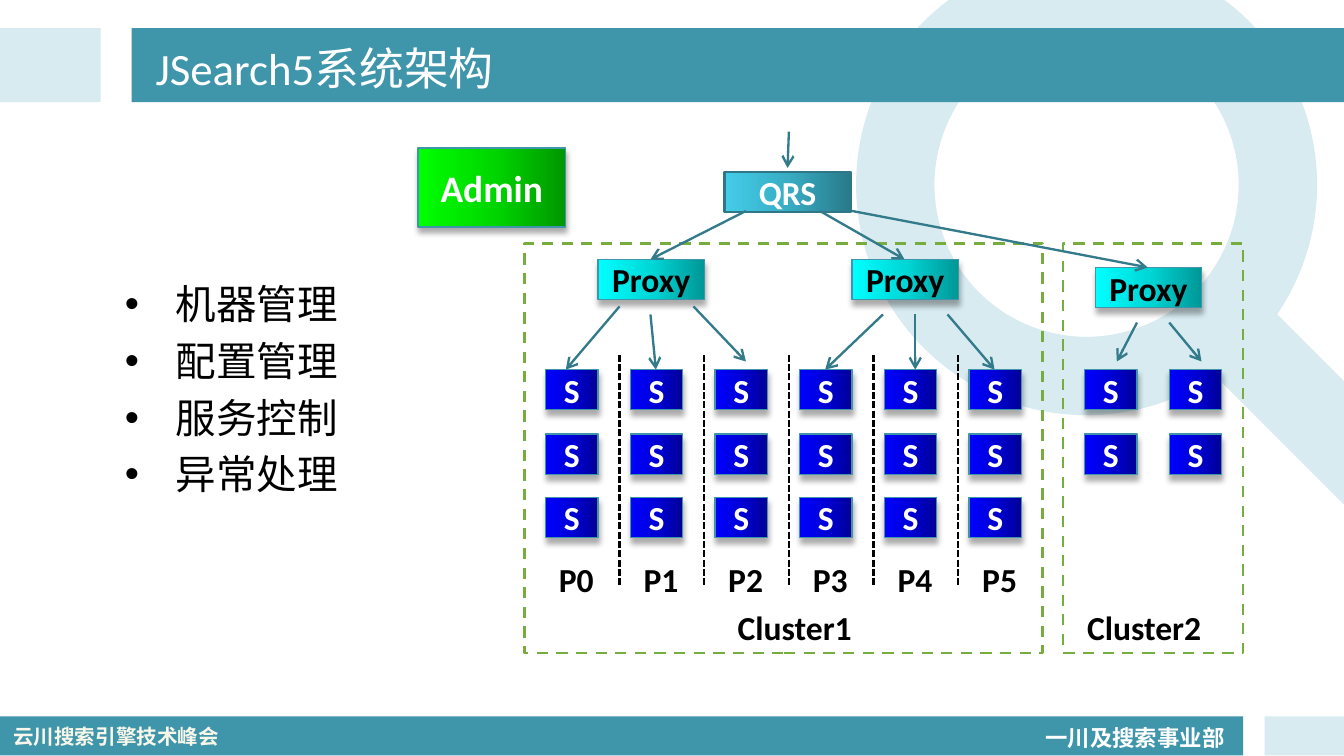
from lxml.etree import SubElement
from copy import deepcopy
from pptx import Presentation
from pptx.dml.color import RGBColor
from pptx.enum.dml import MSO_LINE_DASH_STYLE as DASH
from pptx.enum.shapes import MSO_CONNECTOR, MSO_SHAPE as SHAPE
from pptx.enum.text import MSO_ANCHOR as ANCHOR, PP_ALIGN as ALIGN
from pptx.oxml.ns import qn
from pptx.util import Inches, Pt

TEAL, PALE, ARROW, GREEN = "3F95AA", "D7EBF0", "337A8B", "77AD3F"
WHITE, BLACK = "FFFFFF", "000000"
# Gradient stops run from the right edge to the left edge.
BLUES = ("000097", "0000D7", "0000FF")
CYANS = ("009797", "00D7D7", "00FFFF")
GREENS = ("009700", "00D700", "00FF00")
TEALS = ("287A8A", "39ADC4", "43CDE9")

PITCH = 0.63
FIRST_COLUMN = 4.06
ROWS = (2.75, 3.23, 3.7)
CLUSTER2_COLUMNS = (8.07, 8.7)
PROXIES = ((4.45, 1.93), (6.34, 1.93), (8.15, 1.99))
ARROWS = (
    (5.87, 0.98, 5.86, 1.25),
    (5.55, 1.57, 4.84, 1.93), (6.1, 1.57, 6.73, 1.93), (6.34, 1.57, 8.54, 1.99),
    (4.61, 2.28, 4.21, 2.75), (4.84, 2.34, 4.88, 2.75), (5.16, 2.28, 5.55, 2.69),
    (6.57, 2.34, 6.14, 2.75), (6.81, 2.34, 6.81, 2.75), (7.05, 2.34, 7.4, 2.75),
    (8.46, 2.4, 8.31, 2.69), (8.7, 2.4, 8.94, 2.69),
)


def color(value):
    return RGBColor.from_string(value)


def format_text(para, size, ink, bold=False, font="Calibri"):
    for span in para.runs:
        span.font.size = Pt(size)
        span.font.bold = bold
        span.font.name = font
        span.font.color.rgb = color(ink)
        SubElement(span.font._element, qn("a:ea"), typeface=font)


def add_plain(page, kind, left, top, width, height, fill=None):
    """Add a shape without line or shadow, filled if a colour is given."""
    shape = page.shapes.add_shape(
        kind, Inches(left), Inches(top), Inches(width), Inches(height))
    shape.shadow.inherit = False
    shape.line.fill.background()
    if fill:
        shape.fill.solid()
        shape.fill.fore_color.rgb = color(fill)
    else:
        shape.fill.background()
    return shape


def set_line(line, ink, width, dash=None):
    line.color.rgb = color(ink)
    line.width = Pt(width)
    if dash:
        line.dash_style = dash


def set_gradient(shape, inks):
    """Spread three colours evenly from right to left."""
    shape.fill.gradient()
    shape.fill.gradient_angle = 180
    stops = shape._element.spPr.find(".//" + qn("a:gsLst"))
    stops.insert(1, deepcopy(stops[0]))
    for stop, ink, position in zip(shape.fill.gradient_stops, inks, (0, 0.5, 1)):
        stop.color.rgb = color(ink)
        stop.position = position


def add_shadow(shape):
    effects = shape._element.spPr.find(qn("a:effectLst"))
    shadow = SubElement(
        effects, qn("a:outerShdw"), blurRad=str(Pt(3)), dist=str(Pt(3)),
        dir=str(80 * 60000), rotWithShape="0")
    ink = SubElement(shadow, qn("a:srgbClr"), val=BLACK)
    SubElement(ink, qn("a:alpha"), val="32000")


def add_node(page, text, left, top, width, height, inks, ink=WHITE, size=18,
             border=(TEAL, 0.75), shadow=True):
    node = add_plain(page, SHAPE.RECTANGLE, left, top, width, height)
    set_gradient(node, inks)
    set_line(node.line, *border)
    if shadow:
        add_shadow(node)
    frame = node.text_frame
    frame.margin_left = frame.margin_right = 0
    frame.margin_top = frame.margin_bottom = 0
    frame.vertical_anchor = ANCHOR.MIDDLE
    frame.text = text
    frame.paragraphs[0].alignment = ALIGN.CENTER
    format_text(frame.paragraphs[0], size, ink, True)


def add_text(page, text, left, top, width, height, size, ink=BLACK, bold=True,
             font="Calibri", wrap=True):
    box = page.shapes.add_textbox(
        Inches(left), Inches(top), Inches(width), Inches(height))
    frame = box.text_frame
    frame.word_wrap = wrap
    frame.text = text
    for para in frame.paragraphs:
        format_text(para, size, ink, bold, font)
    return frame


def add_line(page, x1, y1, x2, y2, ink, dash=None, arrow=False):
    line = page.shapes.add_connector(
        MSO_CONNECTOR.STRAIGHT, Inches(x1), Inches(y1), Inches(x2), Inches(y2))
    set_line(line.line, ink, 1.25, dash)
    if arrow:
        SubElement(line.line._get_or_add_ln(), qn("a:tailEnd"), type="arrow")
    SubElement(line._element.spPr, qn("a:effectLst"))


def add_bullets(page, items):
    frame = add_text(page, "\n".join(items), 0.83, 2.03, 2.45, 1.8, 21.7, bold=False)
    for para in frame.paragraphs:
        para.space_before = Pt(4.3)
        properties = para._p.get_or_add_pPr()
        properties.set("marL", str(Inches(0.38)))
        properties.set("indent", str(-Inches(0.38)))
        SubElement(properties, qn("a:buFont"), typeface="Arial")
        SubElement(properties, qn("a:buChar"), char="•")


def add_background(page):
    ring = add_plain(page, SHAPE.DONUT, 6.37, -0.34, 3.43, 3.43, PALE)
    ring.adjustments[0] = 0.17
    handle = add_plain(page, SHAPE.ROUNDED_RECTANGLE, 8.66, 2.7, 2.14, 0.65, PALE)
    handle.adjustments[0] = 0.5
    handle.rotation = 45
    for left, top, width, height, fill in (
            (0, 5.33, 9.25, 0.29, TEAL), (9.41, 5.33, 0.59, 0.29, PALE),
            (0, 0.21, 0.75, 0.55, PALE), (0.98, 0.21, 9.02, 0.55, TEAL)):
        add_plain(page, SHAPE.RECTANGLE, left, top, width, height, fill)
    department = add_text(page, "一川及搜索事业部", 7.68, 5.3, 1.55, 0.33, 12, WHITE,
                          wrap=False)
    department.paragraphs[0].line_spacing = 1.2
    add_text(page, "云川搜索引擎技术峰会", 0, 5.34, 1.77, 0.29, 11, "F9F7EA",
             font="Noto Sans CJK SC")


def add_servers(page):
    columns = [FIRST_COLUMN + PITCH * index for index in range(6)]
    for top in ROWS:
        for left in columns:
            add_node(page, "S", left, top, 0.39, 0.3, BLUES)
    for top in ROWS[:2]:
        for left in CLUSTER2_COLUMNS:
            add_node(page, "S", left, top, 0.39, 0.3, BLUES)
    for index, left in enumerate(columns):
        add_text(page, f"P{index}", left, 4.11, 0.47, 0.4, 18)
        if index:
            add_line(page, left - 0.08, 2.64, left - 0.08, 4.35, BLACK,
                     DASH.SQUARE_DOT)


def add_cluster(page, name, left, width, name_left):
    frame = add_plain(page, SHAPE.RECTANGLE, left, 1.81, width, 3.05)
    set_line(frame.line, GREEN, 1.5, DASH.DASH)
    add_text(page, name, name_left, 4.47, 1.26, 0.4, 18)


def main():
    deck = Presentation()
    deck.slide_width = Inches(10)
    deck.slide_height = Inches(10 * 9 / 16)
    page = deck.slides.add_slide(deck.slide_layouts[6])
    add_background(page)
    title = add_text(page, "JSearch5系统架构", 1.06, 0.23, 8.44, 0.54, 24, WHITE, False)
    title.vertical_anchor = ANCHOR.MIDDLE
    add_node(page, "Admin", 3.11, 1.1, 1.1, 0.59, GREENS, size=20)
    add_node(page, "QRS", 5.39, 1.28, 0.94, 0.3, TEALS, border=("2F7786", 1.25),
             shadow=False)
    for left, top in PROXIES:
        add_node(page, "Proxy", left, top, 0.79, 0.3, CYANS, BLACK)
    add_servers(page)
    add_cluster(page, "Cluster1", 3.9, 3.86, 5.39)
    add_cluster(page, "Cluster2", 7.91, 1.34, 7.99)
    for ends in ARROWS:
        add_line(page, *ends, ARROW, arrow=True)
    add_bullets(page, ("机器管理", "配置管理", "服务控制", "异常处理"))
    deck.save("out.pptx")


if __name__ == "__main__":
    main()
